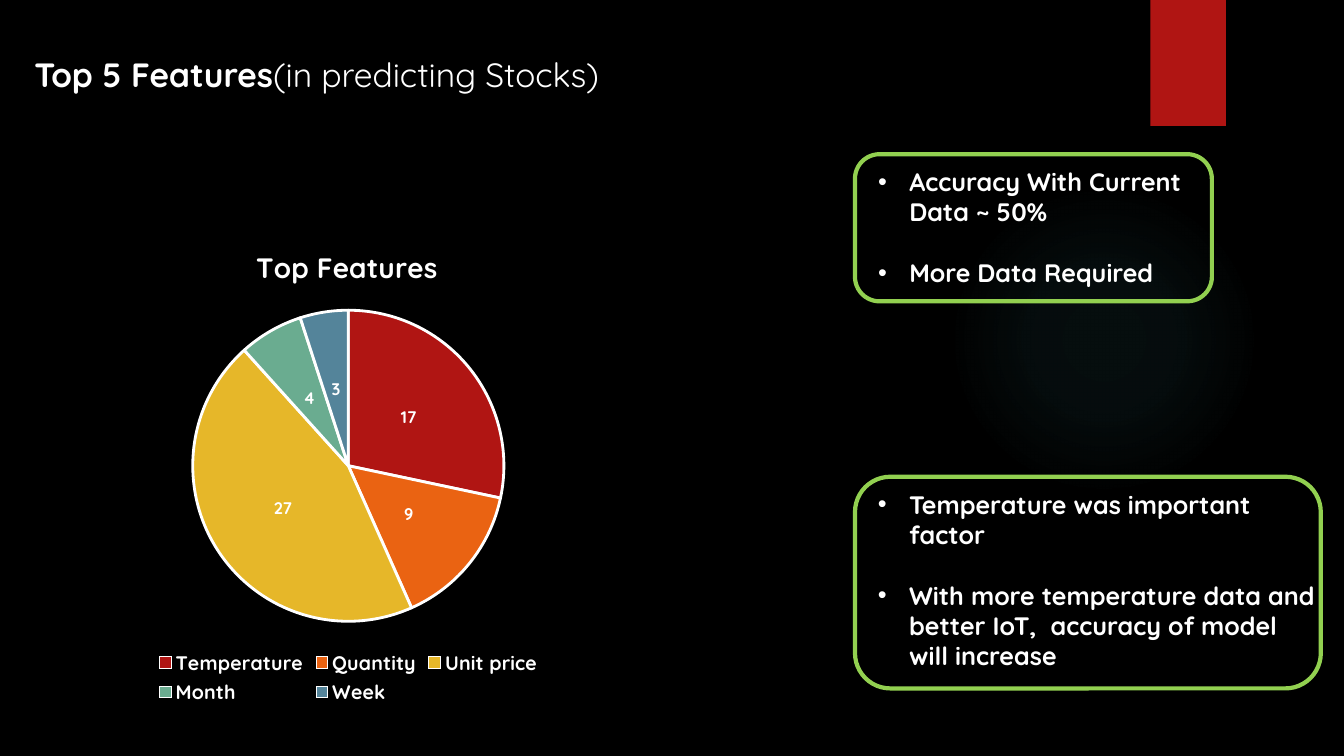
"""Build the slide on the top five features for predicting stocks."""
from lxml.etree import SubElement
from pptx import Presentation
from pptx.chart.data import CategoryChartData
from pptx.dml.color import RGBColor
from pptx.enum.chart import XL_CHART_TYPE, XL_LABEL_POSITION, XL_LEGEND_POSITION
from pptx.enum.shapes import MSO_SHAPE
from pptx.enum.text import MSO_ANCHOR, PP_ALIGN
from pptx.oxml import parse_xml
from pptx.oxml.ns import nsdecls, qn
from pptx.util import Inches, Pt

WHITE, RED, GREEN, TEAL = "FFFFFF", "B01513", "92D050", "50B9C1"


def rgb(value):
    return RGBColor.from_string(value)


def box(left, top, width, height):
    return [Inches(v) for v in (left, top, width, height)]


class Deck:
    font = "Quicksand"

    def __init__(self):
        self.prs = Presentation()
        self.prs.slide_width, self.prs.slide_height = Inches(13.33), Inches(7.5)
        self.slide = self.prs.slides.add_slide(self.prs.slide_layouts[5])
        fill = self.slide.background.fill
        fill.solid()
        fill.fore_color.rgb = rgb("000000")

    def style(self, font, size, bold=True):
        font.name, font.size, font.bold = self.font, Pt(size), bold
        font.color.rgb = rgb(WHITE)

    def shape(self, kind, at, fill=None, line=None):
        s = self.slide.shapes.add_shape(kind, *box(*at))
        s.shadow.inherit = False
        if fill:
            s.fill.solid()
            s.fill.fore_color.rgb = rgb(fill)
        else:
            s.fill.background()
        if line:
            s.line.color.rgb = rgb(line)
            s.line.width = Pt(3)
        else:
            s.line.fill.background()
        return s

    def glow(self, at, color, stops):
        s = self.shape(MSO_SHAPE.OVAL, at)
        stop_xml = "".join(
            f'<a:gs pos="{pos * 1000}"><a:srgbClr val="{color}">'
            f'<a:alpha val="{alpha * 1000}"/></a:srgbClr></a:gs>'
            for pos, alpha in stops)
        grad = parse_xml(
            f'<a:gradFill {nsdecls("a")}><a:gsLst>{stop_xml}</a:gsLst><a:path path="circle">'
            '<a:fillToRect l="50000" t="50000" r="50000" b="50000"/></a:path></a:gradFill>')
        sp_pr = s.element.spPr
        sp_pr.replace(sp_pr.find(qn("a:noFill")), grad)

    def ribbon(self, at, color):
        s = self.shape(MSO_SHAPE.RECTANGLE, at, fill=color)
        s.element.spPr.find(qn("a:effectLst")).append(parse_xml(
            f'<a:outerShdw {nsdecls("a")} blurRad="{Pt(3)}" dist="{Pt(2)}" dir="5400000">'
            '<a:srgbClr val="000000"><a:alpha val="45000"/></a:srgbClr></a:outerShdw>'))

    def title(self, at, parts):
        sp = self.slide.shapes.title
        sp.left, sp.top, sp.width, sp.height = box(*at)
        tf = sp.text_frame
        tf.word_wrap, tf.vertical_anchor = True, MSO_ANCHOR.TOP
        p = tf.paragraphs[0]
        p.alignment = PP_ALIGN.LEFT
        for text, bold in parts:
            r = p.add_run()
            r.text = text
            self.style(r.font, 24, bold)

    def bullets(self, at, items):
        tf = self.slide.shapes.add_textbox(*box(*at)).text_frame
        tf.word_wrap = True
        for i, item in enumerate(items):
            p = tf.add_paragraph() if i else tf.paragraphs[0]
            p.text = item
            self.style(p.runs[0].font, 18)
            if i:
                p.space_before = Pt(22)
            p_pr = p._p.get_or_add_pPr()
            p_pr.set("marL", str(Inches(0.31)))
            p_pr.set("indent", str(-Inches(0.31)))
            SubElement(p_pr, qn("a:buFont"), typeface="Arial")
            SubElement(p_pr, qn("a:buChar"), char="•")

    def callout(self, frame, text_at, items):
        self.bullets(text_at, items)
        self.shape(MSO_SHAPE.ROUNDED_RECTANGLE, frame, line=GREEN)

    def layout(self, parent, **values):
        fields = "".join(f'<c:{k} val="{v}"/>' for k, v in values.items())
        old = parent.find(qn("c:layout"))
        if old is not None:
            parent.remove(old)
        new = parse_xml(f'<c:layout {nsdecls("c")}><c:manualLayout>{fields}'
                        '</c:manualLayout></c:layout>')
        tx = parent.find(qn("c:tx"))
        if tx is None:
            parent.insert(0, new)
        else:
            tx.addnext(new)

    def pie(self, at, title, slices):
        data = CategoryChartData()
        data.categories = [name for name, _, _ in slices]
        data.add_series("Series 1", [value for _, value, _ in slices])
        data.add_series("Series 2", [None] * len(slices))
        chart = self.slide.shapes.add_chart(XL_CHART_TYPE.PIE, *box(*at), data).chart
        chart.replace_data(data)
        self.style(chart.font, 10, False)
        chart.has_title = True
        tf = chart.chart_title.text_frame
        tf.text = title
        self.style(tf.paragraphs[0].runs[0].font, 20)
        self.layout(chart.chart_title._element, xMode="edge", yMode="edge", x=0.35, y=0.03)
        self.layout(chart._chartSpace.chart.plotArea, layoutTarget="inner", xMode="edge",
                    yMode="edge", x=0.26, y=0.17, w=0.48, h=0.65)
        chart.has_legend = True
        chart.legend.position = XL_LEGEND_POSITION.BOTTOM
        chart.legend.include_in_layout = False
        self.style(chart.legend.font, 14)
        plot = chart.plots[0]
        plot.vary_by_categories = True
        for series, size in zip(plot.series, (12, 9)):
            labels = series.data_labels
            labels.show_value, labels.position = True, XL_LABEL_POSITION.CENTER
            self.style(labels.font, size, size == 12)
            for i, (_, _, color) in enumerate(slices):
                fmt = series.points[i].format
                fmt.fill.solid()
                fmt.fill.fore_color.rgb = rgb(color)
                fmt.line.color.rgb = rgb(WHITE)
                fmt.line.width = Pt(2)


deck = Deck()
deck.glow((9.41, 1.83, 3.08, 3.08), TEAL, [(0, 7), (36, 6), (69, 0), (100, 0)])
deck.ribbon((11.41, 0, 0.75, 1.25), RED)
deck.title((0.24, 0.48, 6.16, 0.5),
           [("Top 5 Features", True), ("(in predicting Stocks)", False)])
deck.pie((0.24, 2.26, 6.43, 4.77), "Top Features", [
    ("Temperature", 17, RED), ("Quantity", 9, "EA6312"), ("Unit price", 27, "E6B729"),
    ("Month ", 4, "6AAC90"), ("Week", 3, "54849A")])
deck.callout((8.48, 1.53, 3.54, 1.46), (8.61, 1.6, 3.75, 1.31),
             ["Accuracy With Current Data ~ 50%", "More Data Required"])
deck.callout((8.48, 4.73, 4.62, 2.1), (8.61, 4.8, 4.56, 1.92),
             ["Temperature was important factor",
              "With more temperature data and better IoT,  accuracy of model will increase"])
deck.prs.save("out.pptx")
